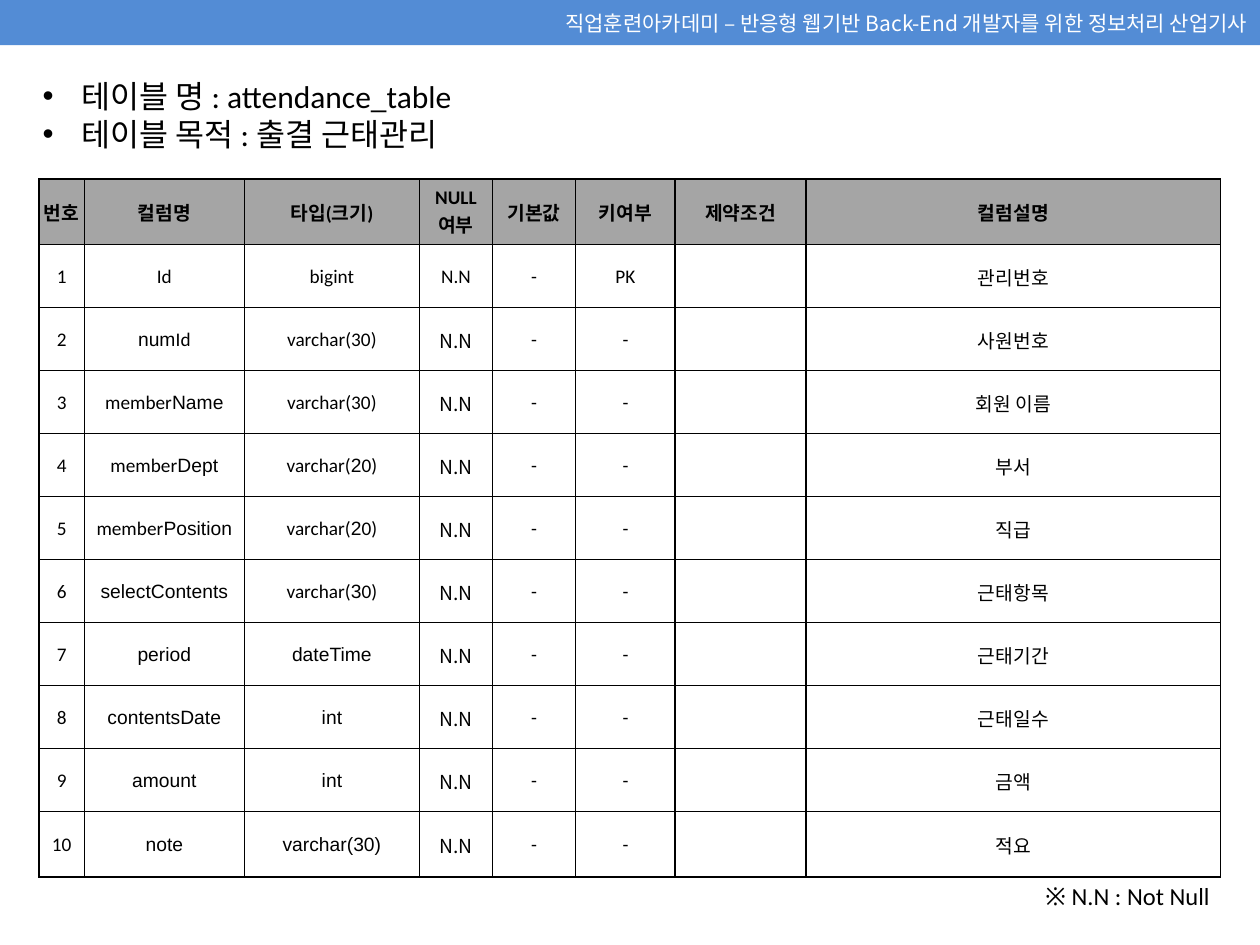
"""Build the attendance_table definition slide."""
from lxml import etree
from pptx import Presentation
from pptx.dml.color import RGBColor
from pptx.enum.shapes import MSO_SHAPE
from pptx.enum.text import MSO_ANCHOR, MSO_AUTO_SIZE, PP_ALIGN
from pptx.oxml.ns import qn
from pptx.util import Inches, Pt

RECT = MSO_SHAPE.RECTANGLE
MIDDLE = MSO_ANCHOR.MIDDLE
GROW = MSO_AUTO_SIZE.SHAPE_TO_FIT_TEXT
LEFT, CENTER, RIGHT = PP_ALIGN.LEFT, PP_ALIGN.CENTER, PP_ALIGN.RIGHT

THEME = {
    "bar": "538CD5", "head": "A5A5A5", "white": "FFFFFF", "ink": "000000",
    "body": "Calibri", "alt": "Arial", "korean": "Noto Sans CJK KR",
    "bar_size": 12, "list_size": 18, "cell_size": 11, "note_size": 14,
    "border": 1,
}

COURSE = "직업훈련아카데미 – 반응형 웹기반 Back-End 개발자를 위한 정보처리 산업기사"
SUMMARY = ["테이블 명 : attendance_table", "테이블 목적 : 출결 근태관리"]
FOOTNOTE = "※ N.N : Not Null"

HEADERS = ["번호", "컬럼명", "타입(크기)", "NULL 여부", "기본값", "키여부", "제약조건", "컬럼설명"]
WIDTHS = [0.36, 1.27, 1.39, 0.58, 0.66, 0.79, 1.04, 3.29]
EDGE_ROW, INNER_ROW = 0.52, 0.5
NULL_COLUMN = 3
FACE_SWITCH = "|"

FIELDS = [
    ("Id", "bigint", "PK", "|관리|번호"),
    ("|num|Id", "varchar(30)", "-", "|사원번호"),
    ("member|Name", "varchar(30)", "-", "|회원 이름"),
    ("member|Dept", "varchar(|2|0)", "-", "|부서"),
    ("member|Position", "varchar(|2|0)", "-", "|직급"),
    ("|selectContents", "varchar(|3|0)", "-", "|근태항목"),
    ("|period", "|dateTime", "-", "|근태기간"),
    ("|contentsDate", "|int", "-", "|근태일수"),
    ("|amount", "|int", "-", "|금액"),
    ("|note", "|varchar(30)", "-", "|적요"),
]


def color(name):
    return RGBColor.from_string(THEME[name])


def style_run(r, size, face="body", ink="ink", bold=False):
    r.font.size = Pt(THEME[size])
    r.font.name = THEME[face]
    r.font.color.rgb = color(ink)
    r.font.bold = bold


def write(tf, text, align, size, **style):
    tf.word_wrap = True
    tf.text = text
    for p in tf.paragraphs:
        p.alignment = align
        for r in p.runs:
            style_run(r, size, **style)


def add_text(slide, box, text, align, size):
    sp = slide.shapes.add_textbox(*map(Inches, box))
    sp.text_frame.auto_size = GROW
    write(sp.text_frame, text, align, size)
    return sp


def add_bullet(p):
    pPr = p._p.get_or_add_pPr()
    pPr.set("marL", str(Inches(0.31)))
    pPr.set("indent", str(-Inches(0.31)))
    etree.SubElement(pPr, qn("a:buFont"), typeface=THEME["alt"])
    etree.SubElement(pPr, qn("a:buChar"), char="•")


def add_borders(cell):
    tcPr = cell._tc.get_or_add_tcPr()
    for side in ("L", "R", "T", "B"):
        ln = etree.SubElement(tcPr, qn(f"a:ln{side}"), w=str(Pt(THEME["border"])))
        fill = etree.SubElement(ln, qn("a:solidFill"))
        etree.SubElement(fill, qn("a:srgbClr"), val=THEME["ink"])


def fill_cell(cell, text, header, face):
    add_borders(cell)
    if header:
        cell.fill.solid()
        cell.fill.fore_color.rgb = color("head")
    else:
        cell.fill.background()
    if not text:
        return
    cell.vertical_anchor = MIDDLE
    cell.margin_left = cell.margin_right = cell.margin_top = Inches(0.01)
    cell.margin_bottom = 0
    p = cell.text_frame.paragraphs[0]
    p.alignment = CENTER
    for i, part in enumerate(text.split(FACE_SWITCH)):
        if part:
            r = p.add_run()
            r.text = part
            style_run(r, "cell_size", "alt" if i % 2 else face, bold=header)


def add_field_table(slide):
    rows = [HEADERS] + [
        (str(n), name, kind, "N.N", "-", key, "", meaning)
        for n, (name, kind, key, meaning) in enumerate(FIELDS, 1)
    ]
    last = len(rows) - 1
    heights = [EDGE_ROW if i in (0, last) else INNER_ROW for i in range(len(rows))]
    size = map(Inches, (0.31, 1.42, sum(WIDTHS), sum(heights)))
    table = slide.shapes.add_table(len(rows), len(WIDTHS), *size).table
    table.first_row = table.horz_banding = False
    for column, width in zip(table.columns, WIDTHS):
        column.width = Inches(width)
    for i, (row, height) in enumerate(zip(rows, heights)):
        table.rows[i].height = Inches(height)
        for j, text in enumerate(row):
            face = "korean" if j == NULL_COLUMN and i > 1 else "body"
            fill_cell(table.cell(i, j), text, i == 0, face)


def main():
    prs = Presentation()
    prs.slide_width, prs.slide_height = Inches(10), Inches(7.5)
    slide = prs.slides.add_slide(prs.slide_layouts[6])

    bar = slide.shapes.add_shape(RECT, 0, 0, prs.slide_width, Inches(0.36))
    bar.shadow.inherit = False
    bar.fill.solid()
    bar.fill.fore_color.rgb = color("bar")
    bar.line.fill.background()
    bar.text_frame.vertical_anchor = MIDDLE
    write(bar.text_frame, COURSE, RIGHT, "bar_size", face="korean", ink="white")

    summary = add_text(slide, (0.24, 0.56, 9.49, 0.71), "\n".join(SUMMARY), LEFT, "list_size")
    for p in summary.text_frame.paragraphs:
        add_bullet(p)

    add_field_table(slide)
    add_text(slide, (8.15, 6.94, 1.55, 0.34), FOOTNOTE, RIGHT, "note_size")
    prs.save("out.pptx")


if __name__ == "__main__":
    main()
